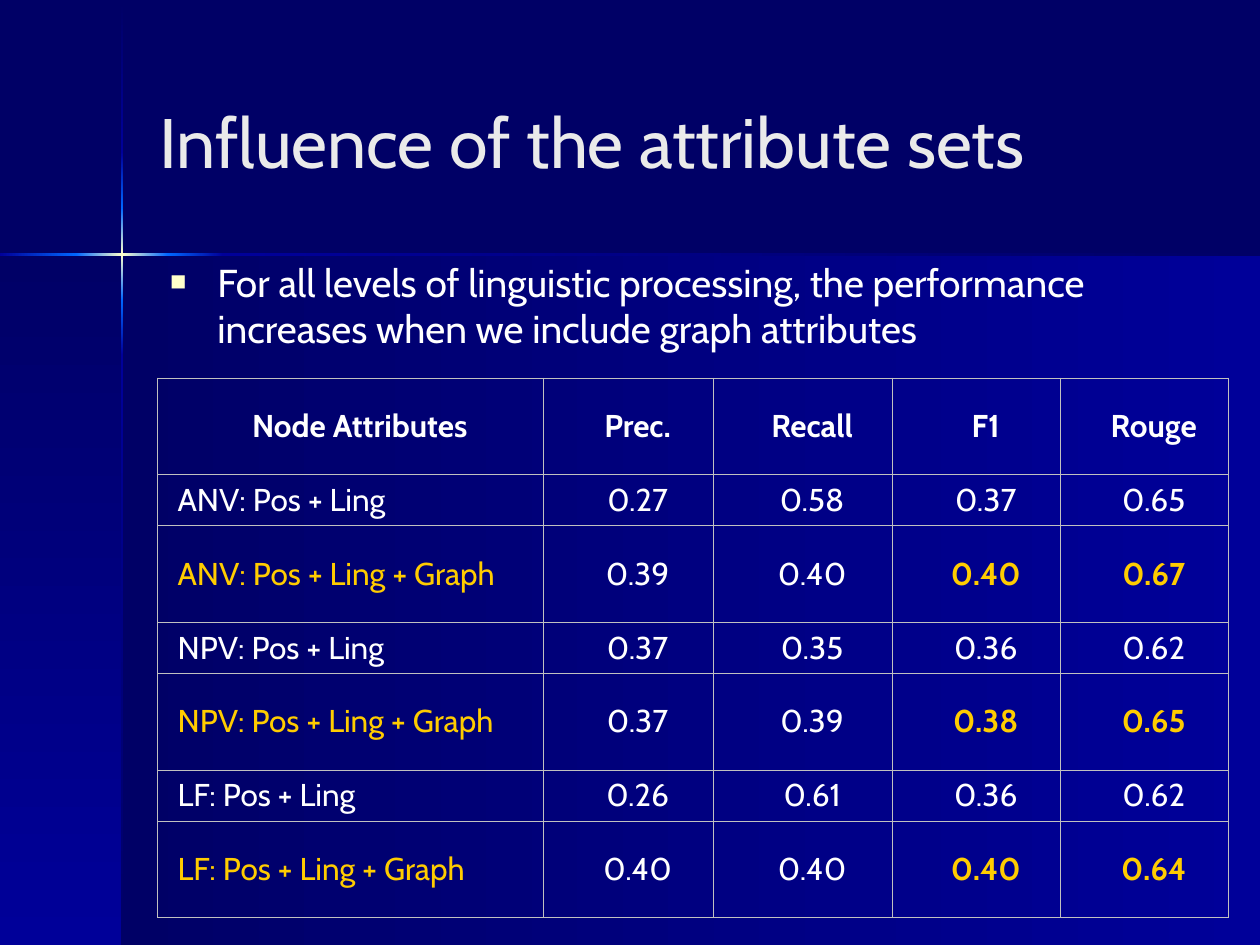
from dataclasses import dataclass
from typing import NamedTuple

from lxml.etree import SubElement
from pptx import Presentation
from pptx.dml.color import RGBColor
from pptx.enum.shapes import MSO_SHAPE
from pptx.enum.text import MSO_ANCHOR, MSO_AUTO_SIZE, PP_ALIGN
from pptx.oxml.ns import qn
from pptx.util import Pt


@dataclass(frozen=True)
class Theme:
    font: str = "Cabin"
    dark: str = "000066"
    blue: str = "000099"
    bright: str = "0066FF"
    glow: str = "FFFFCC"
    title: str = "EAEAEA"
    text: str = "FFFFFF"
    accent: str = "FFCC00"
    border: str = "C0C0C0"
    title_size: float = 40
    body_size: float = 22.2
    table_size: float = 18


class Band(NamedTuple):
    """A rectangle whose colours run left to right, or top to bottom."""
    left: float
    top: float
    width: float
    height: float
    colors: tuple
    vertical: bool = False


class ResultRow(NamedTuple):
    label: str
    scores: tuple
    with_graph: bool


THEME = Theme()
WIDTH, HEIGHT = 720, 540
CROSS_X, CROSS_Y = 69.8, 145.5  # centre of the light cross
INDENT = 27
TABLE_LEFT, TABLE_TOP = 90, 216
COLUMN_WIDTHS = (220.5, 97, 102.5, 96, 96)
TALL_ROW, SHORT_ROW = 55.2, 29.1
HEADERS = ("Node Attributes", "Prec.", "Recall", "F1", "Rouge")
RESULTS = (
    ResultRow("ANV: Pos + Ling", ("0.27", "0.58", "0.37", "0.65"), False),
    ResultRow("ANV: Pos + Ling + Graph", ("0.39", "0.40", "0.40", "0.67"), True),
    ResultRow("NPV: Pos + Ling", ("0.37", "0.35", "0.36", "0.62"), False),
    ResultRow("NPV: Pos + Ling + Graph", ("0.37", "0.39", "0.38", "0.65"), True),
    ResultRow("LF: Pos + Ling", ("0.26", "0.61", "0.36", "0.62"), False),
    ResultRow("LF: Pos + Ling + Graph", ("0.40", "0.40", "0.40", "0.64"), True),
)


def background_bands() -> list[Band]:
    """Two panels, then the arms of the cross along each axis."""
    fade_in = (THEME.dark, THEME.blue)
    bands = [
        Band(CROSS_X, CROSS_Y, WIDTH - CROSS_X, HEIGHT - CROSS_Y, fade_in),
        Band(0, CROSS_Y, CROSS_X, HEIGHT - CROSS_Y, fade_in, True),
    ]
    ramp = (THEME.blue, THEME.bright)
    core = (THEME.bright, THEME.glow, THEME.bright)
    vertical_arms = ((0.7, 87, fade_in), (87, 119, ramp), (119, 171.5, core),
                     (171.5, 203, ramp[::-1]), (203, HEIGHT, fade_in[::-1]))
    horizontal_arms = ((0, 43.5, ramp), (43.5, 96, core),
                       (96, 127.5, ramp[::-1]), (127.5, WIDTH, fade_in[::-1]))
    thickness = 1.3
    for start, end, colors in vertical_arms:
        bands.append(Band(CROSS_X - thickness / 2, start, thickness, end - start, colors, True))
    for start, end, colors in horizontal_arms:
        bands.append(Band(start, CROSS_Y - thickness / 2, end - start, thickness, colors))
    return bands


def draw_band(slide, band: Band) -> None:
    shape = slide.shapes.add_shape(MSO_SHAPE.RECTANGLE, Pt(band.left), Pt(band.top),
                                   Pt(band.width), Pt(band.height))
    shape.shadow.inherit = False
    shape.line.fill.background()
    shape.fill.gradient()
    shape.fill.gradient_angle = 270 if band.vertical else 0
    # Replace the default gradient stops, which may be two or three
    stop_list = shape.element.spPr.find(qn("a:gradFill")).find(qn("a:gsLst"))
    for stop in list(stop_list):
        stop_list.remove(stop)
    for index, color in enumerate(band.colors):
        position = 100000 * index // (len(band.colors) - 1)
        stop = SubElement(stop_list, qn("a:gs"), pos=str(position))
        SubElement(stop, qn("a:srgbClr"), val=color)
    # Keep the background behind the placeholders
    slide.shapes.title.element.addprevious(shape.element)


def format_paragraph(paragraph, size: float, color: str, bold: bool = False,
                     alignment=PP_ALIGN.LEFT) -> None:
    paragraph.alignment = alignment
    paragraph.space_before = Pt(0)
    for run in paragraph.runs:
        run.font.name = THEME.font
        run.font.size = Pt(size)
        run.font.bold = bold
        run.font.color.rgb = RGBColor.from_string(color)


def set_hanging_indent(paragraph) -> None:
    properties = paragraph._p.get_or_add_pPr()
    properties.set("marL", str(Pt(INDENT)))
    properties.set("indent", str(-Pt(INDENT)))


def add_square_bullet(paragraph) -> None:
    properties = paragraph._p.get_or_add_pPr()
    color = SubElement(properties, qn("a:buClr"))
    SubElement(color, qn("a:srgbClr"), val=THEME.glow)
    SubElement(properties, qn("a:buSzPct"), val="70000")
    SubElement(properties, qn("a:buChar"), char="■")


def fill_placeholder(shape, text: str, box: tuple, anchor):
    shape.left, shape.top, shape.width, shape.height = (Pt(value) for value in box)
    frame = shape.text_frame
    frame.text = text
    frame.word_wrap = True
    frame.auto_size = MSO_AUTO_SIZE.NONE
    frame.vertical_anchor = anchor
    return frame.paragraphs[0]


def fill_cell(cell, text: str, color: str, bold: bool, alignment) -> None:
    cell.text_frame.text = text
    cell.vertical_anchor = MSO_ANCHOR.MIDDLE
    cell.margin_left, cell.margin_right = Pt(11.5), Pt(0.7)
    cell.margin_top = cell.margin_bottom = Pt(3.6)
    paragraph = cell.text_frame.paragraphs[0]
    set_hanging_indent(paragraph)
    format_paragraph(paragraph, THEME.table_size, color, bold, alignment)
    properties = cell._tc.get_or_add_tcPr()
    for side in ("a:lnL", "a:lnR", "a:lnT", "a:lnB"):
        line = SubElement(properties, qn(side), w=str(Pt(0.45)))
        line_fill = SubElement(line, qn("a:solidFill"))
        SubElement(line_fill, qn("a:srgbClr"), val=THEME.border)
    cell.fill.background()


def draw_results_table(slide) -> None:
    heights = [TALL_ROW] + [TALL_ROW if row.with_graph else SHORT_ROW for row in RESULTS]
    table = slide.shapes.add_table(len(heights), len(HEADERS), Pt(TABLE_LEFT), Pt(TABLE_TOP),
                                   Pt(sum(COLUMN_WIDTHS)), Pt(sum(heights))).table
    table.first_row = table.horz_banding = False
    for column, width in zip(table.columns, COLUMN_WIDTHS):
        column.width = Pt(width)
    for row, height in zip(table.rows, heights):
        row.height = Pt(height)
    for index, header in enumerate(HEADERS):
        fill_cell(table.cell(0, index), header, THEME.text, True, PP_ALIGN.CENTER)
    for row_index, result in enumerate(RESULTS, 1):
        label_color = THEME.accent if result.with_graph else THEME.text
        fill_cell(table.cell(row_index, 0), result.label, label_color, False, PP_ALIGN.LEFT)
        for index, score in enumerate(result.scores, 1):
            # F1 and Rouge stand out where graph attributes are included
            strong = result.with_graph and index >= 3
            fill_cell(table.cell(row_index, index), score,
                      THEME.accent if strong else THEME.text, strong, PP_ALIGN.CENTER)


def main() -> None:
    presentation = Presentation()
    presentation.slide_width, presentation.slide_height = Pt(WIDTH), Pt(HEIGHT)
    slide = presentation.slides.add_slide(presentation.slide_layouts[1])

    # Background
    slide.background.fill.solid()
    slide.background.fill.fore_color.rgb = RGBColor.from_string(THEME.dark)
    for band in background_bands():
        draw_band(slide, band)

    # Title and message
    title = fill_placeholder(slide.shapes.title, "Influence of the attribute sets",
                             (84, 24, 594, 113), MSO_ANCHOR.MIDDLE)
    format_paragraph(title, THEME.title_size, THEME.title)
    message = fill_placeholder(
        slide.placeholders[1],
        "For all levels of linguistic processing, the performance increases "
        "when we include graph attributes",
        (90, 144, 612, 72), MSO_ANCHOR.TOP)
    set_hanging_indent(message)
    add_square_bullet(message)
    format_paragraph(message, THEME.body_size, THEME.text)

    # Results
    draw_results_table(slide)
    presentation.save("out.pptx")


if __name__ == "__main__":
    main()
